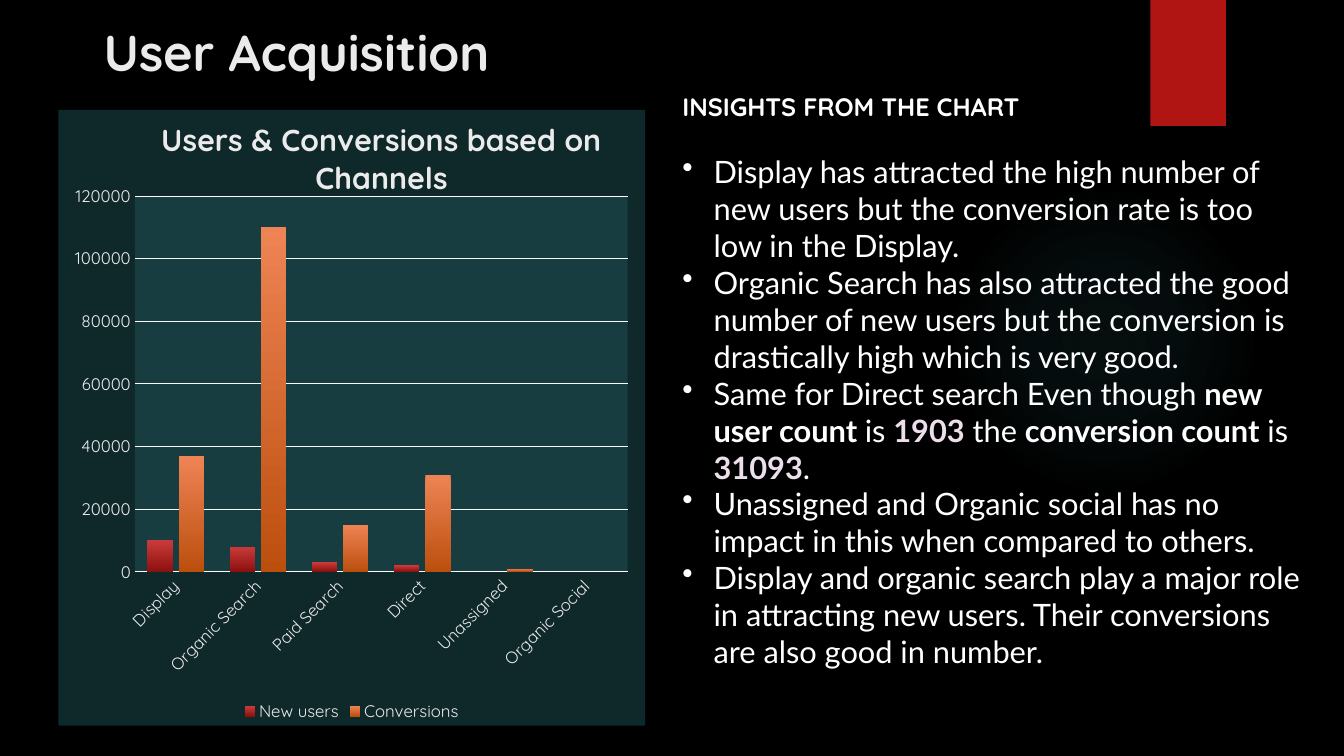
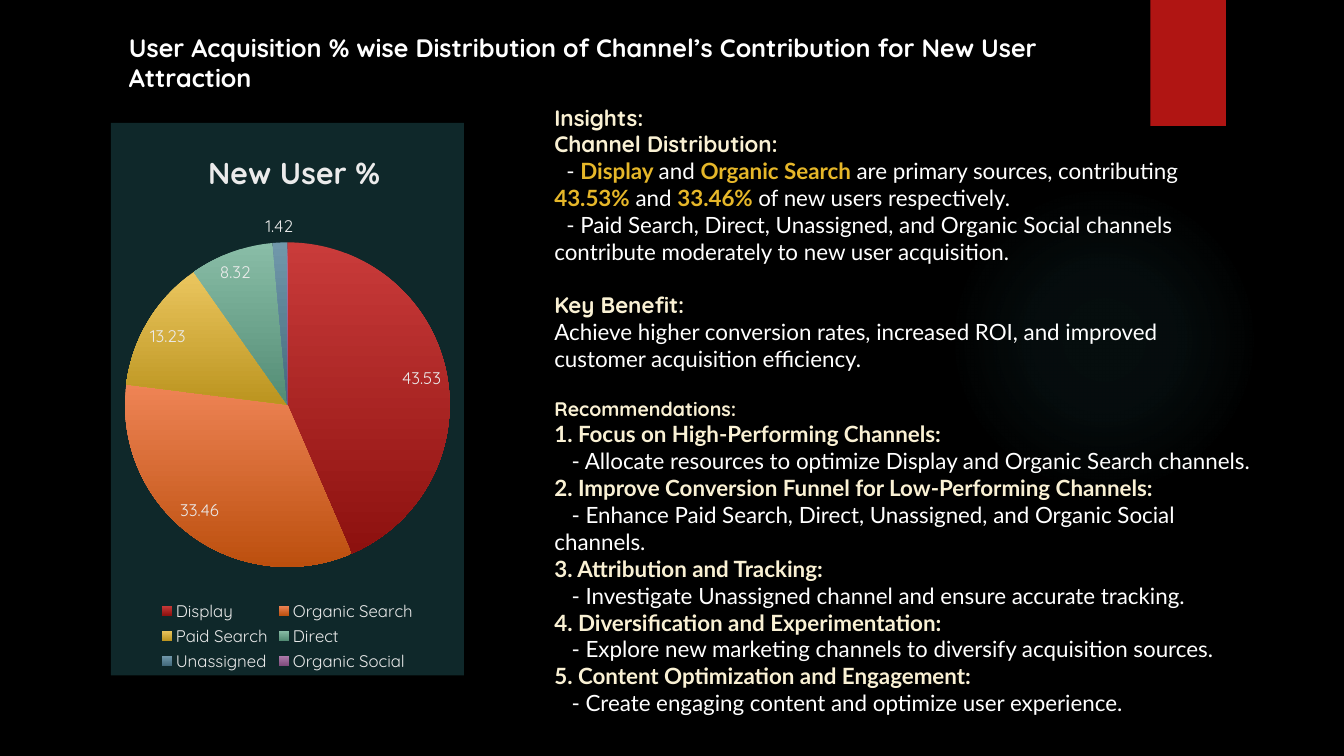
from lxml import etree
from pptx import Presentation
from pptx.chart.data import CategoryChartData
from pptx.dml.color import RGBColor
from pptx.enum.chart import XL_CHART_TYPE, XL_LABEL_POSITION, XL_LEGEND_POSITION, XL_TICK_MARK
from pptx.enum.shapes import MSO_SHAPE
from pptx.enum.text import MSO_ANCHOR
from pptx.oxml import parse_xml
from pptx.oxml.ns import nsdecls, qn
from pptx.util import Inches, Pt

BARS, PIE = XL_CHART_TYPE.COLUMN_CLUSTERED, XL_CHART_TYPE.PIE
BEST = XL_LABEL_POSITION.BEST_FIT
BOTTOM = XL_LEGEND_POSITION.BOTTOM
NO_TICK = XL_TICK_MARK.NONE
RECT, OVAL = MSO_SHAPE.RECTANGLE, MSO_SHAPE.OVAL
TOP, BASE = MSO_ANCHOR.TOP, MSO_ANCHOR.BOTTOM

HEAD, BODY = "Quicksand", "Lato"
BLACK, WHITE, PALE, LINE = "000000", "FFFFFF", "EBEBEB", "FCFCFC"
CREAM, GOLD, PINK = "FAF1D4", "E6B729", "ECDFEB"
RED, GLOW = "B01513", "50B9C1"
PANEL, PLOT = "0F282A", "173D40"
SHADES = [("C93B3A", "8D110F"), ("EE8455", "BC4F0E"), ("EBC65F", "BB941F"),
          ("89BDA7", "538C74"), ("7198AB", "436A7C"), ("AF7CAC", "7F4B7C")]
NAMES = ["Display", "Organic Search", "Paid Search", "Direct",
         "Unassigned", "Organic Social"]


def color(hex):
    return RGBColor.from_string(hex)


def style(font, size=None, face=HEAD, ink=WHITE, bold=False):
    font.name, font.bold, font.color.rgb = face, bold, color(ink)
    if size:
        font.size = Pt(size)


def write(para, text, **look):
    run = para.add_run()
    run.text = text
    style(run.font, **look)


def shade(fill, pair):
    fill.gradient()
    fill.gradient_angle = 270
    for stop, ink in zip(fill.gradient_stops, pair):
        stop.color.rgb = color(ink)


def solid(ink):
    return parse_xml(f'<c:spPr {nsdecls("c", "a")}><a:solidFill><a:srgbClr val="{ink}"/>'
                     '</a:solidFill><a:ln><a:noFill/></a:ln></c:spPr>')


def place(node, index, inner=False, **spots):
    old = node.find(qn("c:layout"))
    if old is not None:
        node.remove(old)
    layout = etree.Element(qn("c:layout"))
    manual = etree.SubElement(layout, qn("c:manualLayout"))
    if inner:
        etree.SubElement(manual, qn("c:layoutTarget")).set("val", "inner")
    for axis in "xy":
        etree.SubElement(manual, qn(f"c:{axis}Mode")).set("val", "edge")
    for key, value in spots.items():
        etree.SubElement(manual, qn(f"c:{key}")).set("val", str(value))
    node.insert(index, layout)


class Deck:
    """Holds the deck style and the slide being built."""

    def __init__(self):
        self.prs = Presentation()
        self.prs.slide_width, self.prs.slide_height = Inches(13.33), Inches(7.5)

    def page(self):
        self.slide = self.prs.slides.add_slide(self.prs.slide_layouts[6])
        back = self.slide.background.fill
        back.solid()
        back.fore_color.rgb = color(BLACK)
        self.glow(9.41, 1.83, 3.08, 3.08)
        self.shape(RECT, 11.41, 0, 0.75, 1.25, RED)

    def shape(self, kind, x, y, w, h, ink):
        shape = self.slide.shapes.add_shape(kind, *map(Inches, (x, y, w, h)))
        shape.shadow.inherit = False
        shape.fill.solid()
        shape.fill.fore_color.rgb = color(ink)
        shape.line.fill.background()
        return shape

    def glow(self, x, y, w, h):
        props = self.shape(OVAL, x, y, w, h, GLOW)._element.spPr
        stops = "".join(
            f'<a:gs pos="{pos}000"><a:srgbClr val="{GLOW}"><a:alpha val="{alpha}000"/>'
            '</a:srgbClr></a:gs>' for pos, alpha in ((0, 7), (36, 6), (69, 0)))
        fill = parse_xml(
            f'<a:gradFill {nsdecls("a")}><a:gsLst>{stops}</a:gsLst><a:path path="circle">'
            '<a:fillToRect l="50000" t="50000" r="50000" b="50000"/></a:path></a:gradFill>')
        props.replace(props.find(qn("a:solidFill")), fill)

    def text(self, x, y, w, h, paras, anchor=TOP):
        frame = self.slide.shapes.add_textbox(*map(Inches, (x, y, w, h))).text_frame
        frame.word_wrap, frame.vertical_anchor = True, anchor
        for i, (runs, form) in enumerate(paras):
            para = frame.paragraphs[0] if i == 0 else frame.add_paragraph()
            self.indent(para, **form)
            for text, look in runs:
                write(para, text, **look)

    def indent(self, para, gap=0, first=0, bullet=False):
        props = para._p.get_or_add_pPr()
        if bullet:
            props.set("marL", str(Inches(0.31)))
            first = -0.31
            etree.SubElement(props, qn("a:buChar")).set("char", "•")
        if first:
            props.set("indent", str(Inches(first)))
        if gap:
            para.space_before = Pt(gap)

    def chart(self, kind, x, y, w, h, title, series, spot, plot):
        data = CategoryChartData()
        data.categories = NAMES
        for name, values in series:
            data.add_series(name, values)
        chart = self.slide.shapes.add_chart(
            kind, *map(Inches, (x, y, w, h)), data).chart
        style(chart.font, 10)
        frame = chart.chart_title.text_frame
        for i, line in enumerate(title):
            para = frame.paragraphs[0] if i == 0 else frame.add_paragraph()
            write(para, line, size=21.6, ink=PALE, bold=True)
        place(chart.chart_title._element, 1, **spot)
        chart.has_legend = True
        chart.legend.position = BOTTOM
        chart.legend.include_in_layout = False
        style(chart.legend.font, 12, ink=PALE)
        root = chart._chartSpace
        root.find(qn("c:chart")).addnext(solid(PANEL))
        place(root.find(".//" + qn("c:plotArea")), 0, inner=True, **plot)
        return chart

    def bars(self, *args, **spots):
        chart = self.chart(BARS, *args, **spots)
        plot = chart.plots[0]
        plot.gap_width, plot.overlap, plot.vary_by_categories = 100, -24, False
        for series, pair in zip(plot.series, SHADES):
            shade(series.format.fill, pair)
        cat, val = chart.category_axis, chart.value_axis
        for axis in (cat, val):
            axis.major_tick_mark = axis.minor_tick_mark = NO_TICK
            style(axis.tick_labels.font, 12, ink=PALE)
        val.minimum_scale, val.maximum_scale, val.major_unit = 0, 120000, 20000
        val.format.line.fill.background()
        for line in (cat.format.line, val.major_gridlines.format.line):
            line.color.rgb, line.width = color(LINE), Pt(0.75)
        cat._element.find(qn("c:txPr")).find(qn("a:bodyPr")).set("rot", "-2700000")
        chart._chartSpace.find(".//" + qn("c:plotArea")).append(solid(PLOT))

    def pie(self, *args, **spots):
        plot = self.chart(PIE, *args, **spots).plots[0]
        plot.vary_by_categories = True
        series = plot.series[0]
        for i, pair in enumerate(SHADES):
            shade(series.points[i].format.fill, pair)
        labels = series.data_labels
        labels.show_value, labels.position = True, BEST
        style(labels.font, 12, ink=PALE)
        labels._element.insert(0, parse_xml(
            f'<c:dLbl {nsdecls("c")}><c:idx val="5"/><c:delete val="1"/></c:dLbl>'))


def line(text, size=16, face=BODY, ink=WHITE, bold=False, **form):
    return [(text, dict(size=size, face=face, ink=ink, bold=bold))], form


def head(text, size=16, face=HEAD, ink=CREAM, **form):
    return line(text, size, face, ink, True, **form)


def mixed(size, parts, **form):
    return [(text, dict(size=size, face=BODY, ink=ink, bold=bold))
            for text, ink, bold in parts], form


def users(deck):
    deck.page()
    deck.text(0.93, 0.07, 4.3, 0.79, [head("User Acquisition", 36, ink=PALE)], BASE)
    deck.bars(0.58, 1.09, 5.82, 6.11,
              ["Users & Conversions based on", "Channels"],
              [("New users", (10000, 8000, 3000, 2000, 0, 0)),
               ("Conversions", (37000, 110000, 15000, 31000, 1000, 0))],
              spot=dict(x=0.17, y=0.01),
              plot=dict(x=0.13, y=0.14, w=0.84, h=0.61))
    item = dict(size=22, bullet=True)
    deck.text(6.67, 0.86, 6.4, 6.19, [
        head("INSIGHTS FROM THE CHART", 18, ink=WHITE),
        line("Display has attracted the high number of new users but the conversion "
             "rate is too low in the Display.", gap=22, **item),
        line("Organic Search has also attracted the good number of new users but the "
             "conversion is drastically high which is very good.", **item),
        mixed(parts=[
            ("Same for Direct search Even though ", WHITE, False),
            ("new user count ", WHITE, True), ("is ", WHITE, False),
            ("1903", PINK, True), (" the ", WHITE, False),
            ("conversion count", WHITE, True), (" is ", WHITE, False),
            ("31093", PINK, True), (".", WHITE, False)], **item),
        line("Unassigned and Organic social has no impact in this when compared "
             "to others.", **item),
        line("Display and organic search play a major role in attracting new users. "
             "Their conversions are also good in number.", **item)])


def share(deck):
    deck.page()
    deck.pie(1.1, 1.22, 3.5, 5.48, ["New User %"],
             [("New User %", (43.53, 33.46, 13.23, 8.32, 1.42, 0.04))],
             spot=dict(x=0.26, y=0.04), plot=dict(x=0.04, y=0.215, w=0.92, h=0.59))
    deck.text(1.18, 0.27, 9.51, 0.71, [
        head("User Acquisition % wise Distribution of Channel’s Contribution "
             "for New User Attraction", 18, ink=WHITE)])
    deck.text(5.4, 0.98, 6.67, 3.06, [
        head("Insights:"),
        head("Channel Distribution:"),
        mixed(16, [
            ("- ", WHITE, False), ("Display ", GOLD, True), ("and ", WHITE, False),
            ("Organic Search ", GOLD, True),
            ("are primary sources, contributing ", WHITE, False),
            ("43.53%", GOLD, True), (" and ", WHITE, False), ("33.46% ", GOLD, True),
            ("of new users respectively.", WHITE, False)], first=0.12),
        line("- Paid Search, Direct, Unassigned, and Organic Social channels contribute "
             "moderately to new user acquisition.", first=0.12),
        head("Key Benefit:", gap=19),
        line("Achieve higher conversion rates, increased ROI, and improved customer "
             "acquisition efficiency.")])
    steps = [
        ("Focus on High-Performing Channels:",
         "Allocate resources to optimize Display and Organic Search channels."),
        ("Improve Conversion Funnel for Low-Performing Channels:",
         "Enhance Paid Search, Direct, Unassigned, and Organic Social channels."),
        ("Attribution and Tracking:",
         "Investigate Unassigned channel and ensure accurate tracking."),
        ("Diversification and Experimentation:",
         "Explore new marketing channels to diversify acquisition sources."),
        ("Content Optimization and Engagement:",
         "Create engaging content and optimize user experience.")]
    paras = [head("Recommendations:", 14)]
    for i, (goal, task) in enumerate(steps, 1):
        paras += [head(f"{i}. {goal}", face=BODY), line(f"- {task}", first=0.17)]
    deck.text(5.4, 3.89, 7.21, 3.3, paras)


def main():
    deck = Deck()
    users(deck)
    share(deck)
    deck.prs.save("out.pptx")


if __name__ == "__main__":
    main()
